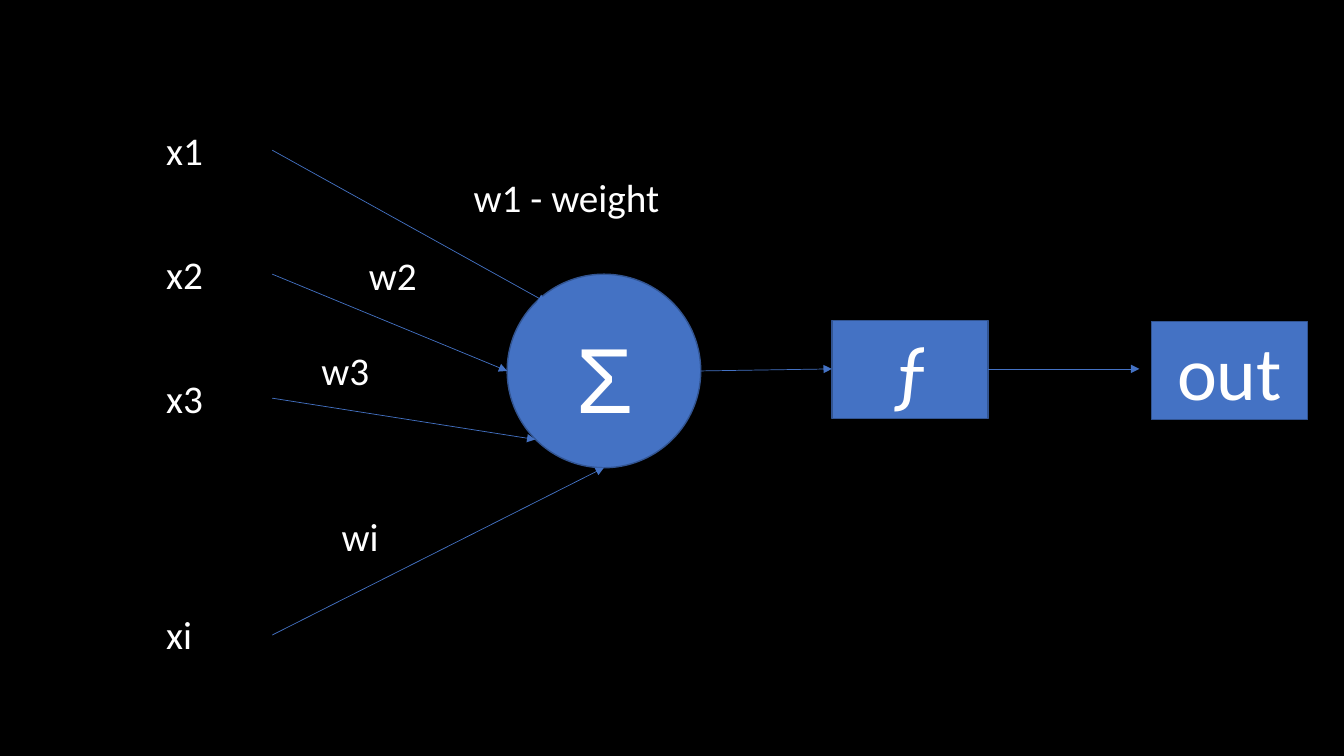
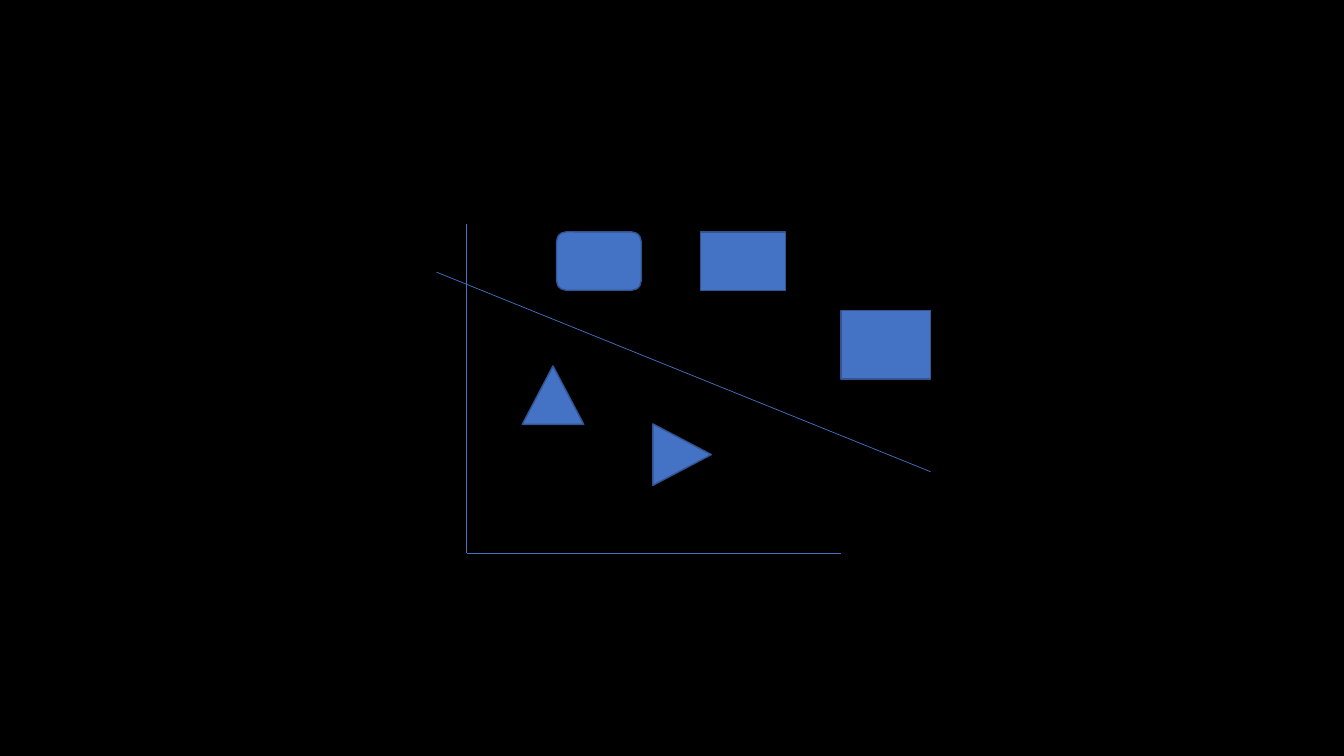
import pptx
import pptx.util
import pptx.dml.color
import pptx.enum.shapes
import pptx.enum.text
import pptx.oxml.ns
from lxml import etree

Inches = pptx.util.Inches
Pt = pptx.util.Pt
MSO = pptx.enum.shapes.MSO_SHAPE
ALIGN = pptx.enum.text.PP_ALIGN
ANCHOR = pptx.enum.text.MSO_ANCHOR
COLORS = {
    name: pptx.dml.color.RGBColor.from_string(value)
    for name, value in {
        "back": "000000",
        "blue": "4472C4",
        "edge": "325491",
        "text": "FFFFFF",
    }.items()
}

prs = pptx.Presentation()
prs.slide_width = Inches(13.33)
prs.slide_height = Inches(7.5)


def add_item(s, at, kind=None, text="", rotation=0, size=28, font="Calibri"):
    box = [Inches(v) for v in at]
    if kind is None:
        sp = s.shapes.add_textbox(*box)
    else:
        sp = s.shapes.add_shape(kind, *box)
        sp.shadow.inherit = False
        sp.fill.solid()
        sp.fill.fore_color.rgb = COLORS["blue"]
        sp.line.color.rgb = COLORS["edge"]
        sp.line.width = Pt(1)
        sp.rotation = rotation
    if text:
        tf = sp.text_frame
        tf.word_wrap = True
        tf.vertical_anchor = ANCHOR.MIDDLE if kind else ANCHOR.TOP
        p = tf.paragraphs[0]
        p.alignment = ALIGN.CENTER if kind else ALIGN.LEFT
        r = p.add_run()
        r.text = text
        for key, value in {"name": font, "size": Pt(size)}.items():
            setattr(r.font, key, value)
        r.font.color.rgb = COLORS["text"]


def add_line(s, start, end, arrow=False):
    ends = [Inches(v) for v in start + end]
    line = s.shapes.add_connector(pptx.enum.shapes.MSO_CONNECTOR.STRAIGHT, *ends)
    line.line.color.rgb = COLORS["blue"]
    line.line.width = Pt(0.5)
    if arrow:
        ln = line.line._get_or_add_ln()
        etree.SubElement(ln, pptx.oxml.ns.qn("a:tailEnd"), type="triangle")
    etree.SubElement(line._element.spPr, pptx.oxml.ns.qn("a:effectLst"))


slides = []
for _ in range(2):
    s = prs.slides.add_slide(prs.slide_layouts[6])
    s.background.fill.solid()
    s.background.fill.fore_color.rgb = COLORS["back"]
    slides.append(s)
neuron, plot = slides

add_item(neuron, (5.03, 2.72, 1.92, 1.92), MSO.OVAL)
for text, left, top in [("ƒ", 8.25, 3.18), ("out", 11.42, 3.19)]:
    add_item(neuron, (left, top, 1.55, 0.97), MSO.RECTANGLE, text, size=54)

inputs = [
    ("x1", 1.2, (5.42, 3)),
    ("x2", 2.43, (5.03, 3.68)),
    ("x3", 3.66, (5.31, 4.36)),
    ("xi", 6.01, (5.99, 4.64)),
]
for text, top, target in inputs:
    add_item(neuron, (1.55, top, 1.16, 0.57), text=text)
    add_line(neuron, (2.7, top + 0.29), target, arrow=True)

weights = [
    ("w1 - weight", 4.6, 1.67, 2.62),
    ("w2", 3.56, 2.44, 1.16),
    ("w3", 3.09, 3.39, 1.16),
    ("wi", 3.29, 5.03, 1.16),
]
for text, left, top, width in weights:
    add_item(neuron, (left, top, width, 0.57), text=text)
add_item(neuron, (5.62, 3.14, 0.85, 1.21), text="Σ", size=66, font="Arial")

add_line(neuron, (6.95, 3.68), (8.25, 3.66), arrow=True)
add_line(neuron, (9.8, 3.66), (11.3, 3.66), arrow=True)

origin = (4.63, 5.49)
add_line(plot, (4.63, 2.22), origin)
add_line(plot, origin, (8.34, 5.49))
add_line(plot, (4.33, 2.7), (9.23, 4.68))

points = [
    (MSO.RECTANGLE, (6.95, 2.3, 0.84, 0.58), 0),
    (MSO.RECTANGLE, (8.34, 3.08, 0.89, 0.68), 0),
    (MSO.ROUNDED_RECTANGLE, (5.52, 2.3, 0.84, 0.58), 0),
    (MSO.ISOSCELES_TRIANGLE, (5.18, 3.63, 0.61, 0.58), 0),
    (MSO.ISOSCELES_TRIANGLE, (6.46, 4.22, 0.61, 0.58), 90),
]
for kind, at, rotation in points:
    add_item(plot, at, kind, rotation=rotation)

prs.save("out.pptx")
